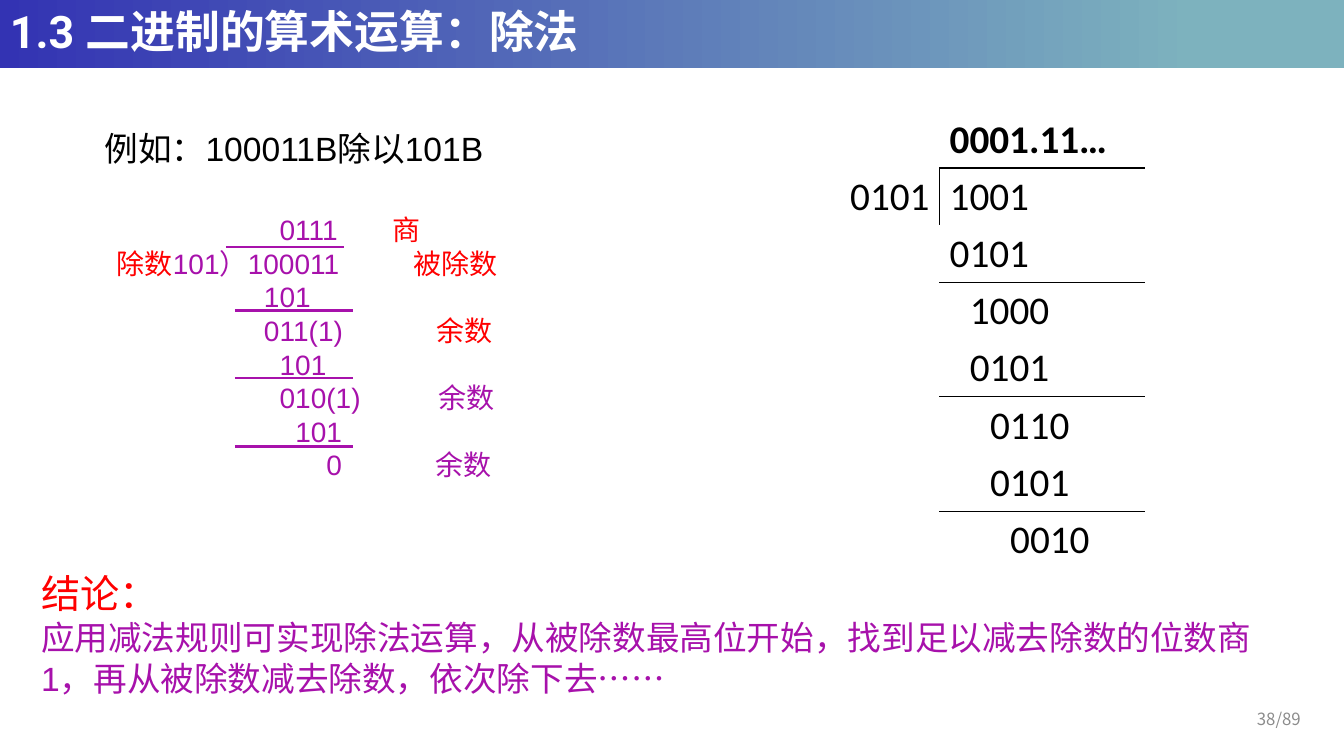
from dataclasses import dataclass

from lxml.etree import SubElement
from pptx import Presentation
from pptx.dml.color import RGBColor
from pptx.enum.shapes import MSO_CONNECTOR as CONN, MSO_SHAPE as SHAPE
from pptx.enum.text import MSO_ANCHOR as ANCHOR, PP_ALIGN as ALIGN
from pptx.oxml.ns import qn
from pptx.util import Inches, Pt

COLORS = {
    "bar_start": "3333B3", "bar_end": "7DB2BE", "white": "FFFFFF",
    "black": "000000", "red": "FF0000", "purple": "A711AB", "gray": "8C8C8C",
}
CJK = "Noto Sans CJK SC"
DIGIT = 0.155
FIRST_DIGIT = 1.46


@dataclass
class Step:
    digits: str
    shift: int
    label: str = ""
    label_at: float = 0
    label_color: str = "purple"
    prefix: str = ""


@dataclass
class Row:
    digits: str
    shift: int = 0
    divisor: str = ""
    ruled: bool = False
    bold: bool = False


STEPS = [
    Step("0111", 1, "商", 2.73, "red"),
    Step("101）100011", 0, "被除数", 2.94, "red", "除数"),
    Step("101", 0),
    Step("011(1)", 0, "余数", 3.17, "red"),
    Step("101", 1),
    Step("010(1)", 1, "余数", 3.19),
    Step("101", 2),
    Step("0", 4, "余数", 3.16),
]
RULES = [(2.24, 2.45), (2.33, 3.08), (2.33, 3.75), (2.33, 4.43)]
ROWS = [
    Row("0001.11…", ruled=True, bold=True),
    Row("1001", divisor="0101"),
    Row("0101", ruled=True),
    Row("1000", 1),
    Row("0101", 1, ruled=True),
    Row("0110", 2),
    Row("0101", 2, ruled=True),
    Row("0010", 3),
]


def rgb(name: str) -> RGBColor:
    return RGBColor.from_string(COLORS[name])


def style(p, size: float, color: str, name: str = "Arial", bold: bool = False,
          spacing: float = 0) -> None:
    if spacing:
        p.line_spacing = Pt(spacing)
    f = p.font
    f.size, f.name, f.bold = Pt(size), name, bold
    f.color.rgb = rgb(color)
    SubElement(f._element, qn("a:ea"), typeface=CJK)


def add_run(p, text: str, color: str = "") -> None:
    r = p.add_run()
    r.text = text
    if color:
        r.font.color.rgb = rgb(color)


def add_box(s, left: float, top: float, width: float, height: float):
    tf = s.shapes.add_textbox(*map(Inches, (left, top, width, height))).text_frame
    tf.word_wrap = True
    return tf


def add_title(s) -> None:
    sp = s.shapes.add_shape(SHAPE.RECTANGLE, 0, 0, Inches(13.33), Inches(0.68))
    sp.shadow.inherit = False
    sp.line.fill.background()
    sp.fill.gradient()
    sp.fill.gradient_angle = 0
    stops = zip(sp.fill.gradient_stops, ("bar_start", "bar_end"), (0, 0.89))
    for stop, color, position in stops:
        stop.color.rgb = rgb(color)
        stop.position = position
    tf = sp.text_frame
    tf.vertical_anchor = ANCHOR.MIDDLE
    p = tf.paragraphs[0]
    p.alignment = ALIGN.LEFT
    p.line_spacing = 0.9
    add_run(p, "1.3 二进制的算术运算：除法")
    style(p, 32, "white", "Roboto", True)


def add_steps(s) -> None:
    tf = add_box(s, 1.06, 2.06, 4.05, 2.79)
    for i, step in enumerate(STEPS):
        p = tf.paragraphs[0] if i == 0 else tf.add_paragraph()
        tabs = SubElement(p._p.get_or_add_pPr(), qn("a:tabLst"))
        stops = [] if step.prefix else [FIRST_DIGIT + DIGIT * step.shift]
        if step.label:
            stops.append(step.label_at)
        for stop in stops:
            SubElement(tabs, qn("a:tab"), pos=str(Inches(stop)), algn="l")
        style(p, 20, "purple", spacing=24)
        if step.prefix:
            add_run(p, step.prefix, "red")
        add_run(p, step.digits if step.prefix else "\t" + step.digits)
        if step.label:
            add_run(p, "\t" + step.label, step.label_color)


def add_rule(s, left: float, top: float) -> None:
    c = s.shapes.add_connector(CONN.STRAIGHT, Inches(left), Inches(top),
                               Inches(left + 1.17), Inches(top))
    c.line.color.rgb = rgb("purple")
    c.line.width = Pt(1.75)
    SubElement(c._element.spPr, qn("a:effectLst"))


def set_border(cell, side: str) -> None:
    ln = SubElement(cell._tc.get_or_add_tcPr(), qn(f"a:ln{side}"), w=str(Pt(1)))
    fill = SubElement(ln, qn("a:solidFill"))
    SubElement(fill, qn("a:srgbClr"), val=COLORS["black"])


def add_division_table(s) -> None:
    frame = s.shapes.add_table(len(ROWS), 2, Inches(8.31), Inches(1.1),
                               Inches(3.04), Inches(4.53))
    table = frame.table
    table.first_row = table.horz_banding = False
    for column, width in zip(table.columns, (1.01, 2.03)):
        column.width = Inches(width)
    for i, row in enumerate(ROWS):
        table.rows[i].height = Inches(4.53 / len(ROWS))
        left, right = table.cell(i, 0), table.cell(i, 1)
        if row.divisor:
            set_border(right, "L")
            set_border(left, "R")
        if i and ROWS[i - 1].ruled:
            set_border(right, "T")
        if row.ruled:
            set_border(right, "B")
        right.margin_left = Inches(0.1 + 0.2 * row.shift)
        for cell, text in ((left, row.divisor), (right, row.digits)):
            cell.fill.background()
            if text:
                p = cell.text_frame.paragraphs[0]
                p.alignment = ALIGN.RIGHT if cell is left else ALIGN.LEFT
                add_run(p, text)
                style(p, 28, "black", "Calibri", row.bold)


def add_conclusion(s) -> None:
    tf = add_box(s, 0.31, 5.36, 12.71, 1.62)
    p = tf.paragraphs[0]
    add_run(p, "结论：")
    style(p, 28, "red", CJK, spacing=51)
    p = tf.add_paragraph()
    add_run(p, "应用减法规则可实现除法运算，从被除数最高位开始，找到足以减去除数的位数商1，"
               "再从被除数减去除数，依次除下去……")
    style(p, 24, "purple", spacing=29)


def main() -> None:
    prs = Presentation()
    prs.slide_width, prs.slide_height = Inches(13.33), Inches(7.5)
    s = prs.slides.add_slide(prs.slide_layouts[6])
    add_title(s)
    add_conclusion(s)
    p = add_box(s, 0.94, 1.22, 4.02, 0.5).paragraphs[0]
    add_run(p, "例如：100011B除以101B")
    style(p, 24, "black", spacing=29)
    add_steps(s)
    for left, top in RULES:
        add_rule(s, left, top)
    add_division_table(s)
    tf = add_box(s, 10, 6.93, 3, 0.4)
    tf.vertical_anchor = ANCHOR.MIDDLE
    p = tf.paragraphs[0]
    p.alignment = ALIGN.RIGHT
    add_run(p, "38/89")
    style(p, 12, "gray", CJK)
    prs.save("out.pptx")


if __name__ == "__main__":
    main()
